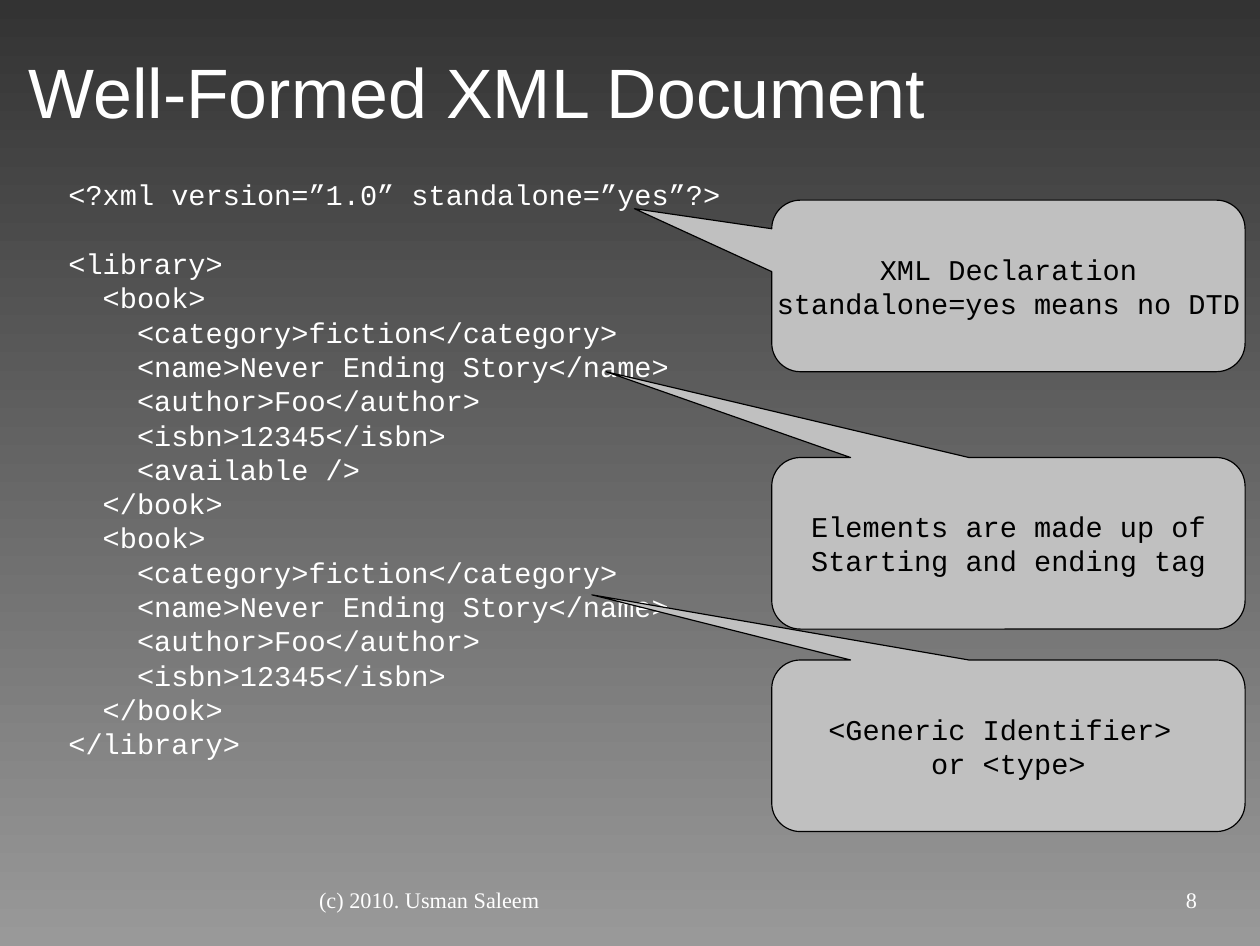
"""Build the slide about a well-formed XML document, with callouts on its parts."""
from dataclasses import dataclass

from pptx import Presentation, util as u
from pptx.dml.color import RGBColor
from pptx.enum import shapes, text

WHITE, BLACK, SILVER = "FFFFFF", "000000", "C0C0C0"
MONO = "Courier New"
INDENT = 0.3
BLANK_LINE = 21.6


@dataclass
class CodeLine:
    level: int
    words: str
    gap: float = 0


@dataclass
class Callout:
    top: float
    tip_x: float
    tip_y: float
    lines: list[str]


def book(*extra: str) -> list[CodeLine]:
    fields = ["<category>fiction</category>", "<name>Never Ending Story</name>",
              "<author>Foo</author>", "<isbn>12345</isbn>", *extra]
    return [CodeLine(1, "<book>"), *(CodeLine(2, field) for field in fields),
            CodeLine(1, "</book>")]


CODE = [CodeLine(0, "<?xml version=”1.0” standalone=”yes”?>"),
        CodeLine(0, "<library>", BLANK_LINE),
        *book("<available />"), *book(), CodeLine(0, "</library>")]

CALLOUTS = [
    Callout(1.75, -0.79, -0.45, ["XML Declaration", "standalone=yes means no DTD"]),
    Callout(4, -0.85, -1, ["Elements are made up of", "Starting and ending tag"]),
    Callout(5.77, -0.88, -0.88, ["<Generic Identifier> ", "or <type>"]),
]


def paint(color_format, color: str) -> None:
    color_format.rgb = RGBColor.from_string(color)


def write(frame, lines: list[CodeLine], *, size: float = 18, font: str = MONO,
          color: str = WHITE, align=text.PP_ALIGN.LEFT, anchor=text.MSO_ANCHOR.TOP,
          inset: tuple[float, float] = (0, 0), wrap: bool = True) -> None:
    frame.word_wrap = wrap
    frame.vertical_anchor = anchor
    frame.margin_left = frame.margin_right = u.Inches(inset[0])
    frame.margin_top = frame.margin_bottom = u.Inches(inset[1])
    for number, line in enumerate(lines):
        para = frame.add_paragraph() if number else frame.paragraphs[0]
        para.alignment = align
        if line.gap:
            para.space_before = u.Pt(line.gap)
        if line.level:
            para._p.get_or_add_pPr().set("marL", str(u.Inches(INDENT * line.level)))
        span = para.add_run()
        span.text = line.words
        span.font.size = u.Pt(size)
        span.font.name = font
        paint(span.font.color, color)


def add_text(page, left: float, top: float, width: float, height: float,
             lines: list[CodeLine], **style) -> None:
    box = page.shapes.add_textbox(*map(u.Inches, (left, top, width, height)))
    write(box.text_frame, lines, **style)


def add_callout(page, callout: Callout) -> None:
    box = page.shapes.add_shape(
        shapes.MSO_SHAPE.ROUNDED_RECTANGULAR_CALLOUT,
        *map(u.Inches, (6.75, callout.top, 4.14, 1.5)))
    for index, value in enumerate((callout.tip_x, callout.tip_y, 0.167)):
        box.adjustments[index] = value
    box.shadow.inherit = False
    box.fill.solid()
    paint(box.fill.fore_color, SILVER)
    paint(box.line.color, BLACK)
    box.line.width = u.Pt(0)
    write(box.text_frame, [CodeLine(0, words) for words in callout.lines],
          color=BLACK, align=text.PP_ALIGN.CENTER, anchor=text.MSO_ANCHOR.MIDDLE,
          inset=(0.1, 0.05), wrap=False)


def main() -> None:
    deck = Presentation()
    deck.slide_width, deck.slide_height = u.Inches(11.02), u.Inches(8.27)
    page = deck.slides.add_slide(deck.slide_layouts[6])
    backdrop = page.background.fill
    backdrop.gradient()
    backdrop.gradient_angle = 270
    for stop, color in zip(backdrop.gradient_stops, ("333333", "999999")):
        paint(stop.color, color)

    add_text(page, 0.25, 0.33, 10.5, 0.92, [CodeLine(0, "Well-Formed XML Document")],
             size=44, font="Arial", anchor=text.MSO_ANCHOR.MIDDLE)
    add_text(page, 0.5, 1.5, 6.25, 5.48, CODE, inset=(0.1, 0.05))
    for callout in CALLOUTS:
        add_callout(page, callout)
    footer = {"size": 14, "font": "Times New Roman"}
    add_text(page, 0.25, 7.75, 7.01, 0.35, [CodeLine(0, "(c) 2010. Usman Saleem")],
             align=text.PP_ALIGN.CENTER, **footer)
    add_text(page, 7.9, 7.75, 2.57, 0.35, [CodeLine(0, "8")],
             align=text.PP_ALIGN.RIGHT, **footer)
    deck.save("out.pptx")


if __name__ == "__main__":
    main()
